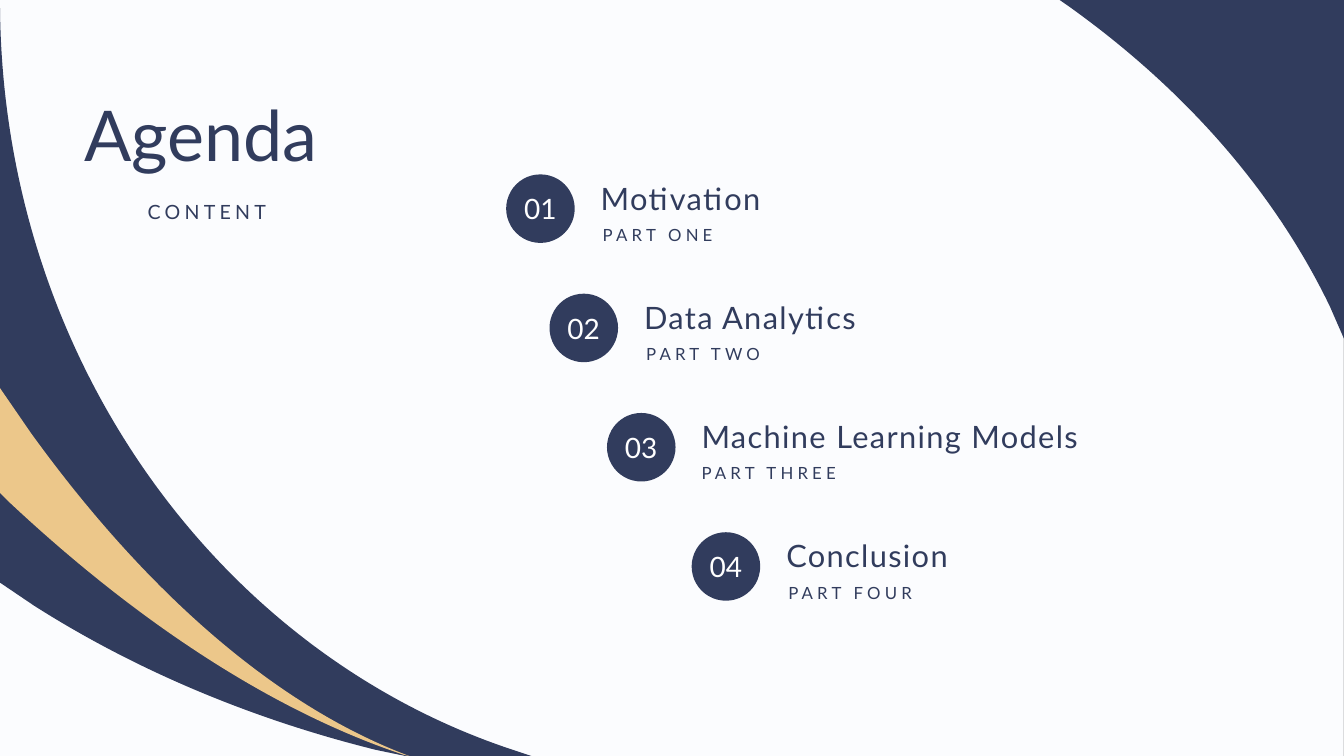
from lxml import etree
from pptx import Presentation
from pptx.dml.color import RGBColor
from pptx.enum.shapes import MSO_SHAPE
from pptx.enum.text import MSO_ANCHOR, PP_ALIGN
from pptx.oxml.ns import qn
from pptx.util import Inches, Pt

NAVY = RGBColor(0x31, 0x3C, 0x5D)
GOLD = RGBColor(0xEC, 0xC7, 0x8A)
BLACK = RGBColor(0x00, 0x00, 0x00)
WHITE = RGBColor(0xFF, 0xFF, 0xFF)
PALE_BLUE = RGBColor(0xDE, 0xEB, 0xF7)
LEFT, CENTER, RIGHT = PP_ALIGN.LEFT, PP_ALIGN.CENTER, PP_ALIGN.RIGHT
TOP, MIDDLE = MSO_ANCHOR.TOP, MSO_ANCHOR.MIDDLE
WIDTH, HEIGHT = 13.33, 7.5

deck = Presentation()
deck.slide_width, deck.slide_height = Inches(WIDTH), Inches(HEIGHT)
page = deck.slides.add_slide(deck.slide_layouts[6])


def draw_outline(color, start, *segments):
    """Closed outline of lines (x, y) and cubic curves (x1, y1, x2, y2, x, y), in inches."""
    points = [(Inches(segment[i]), Inches(segment[i + 1]))
              for segment in segments for i in range(0, len(segment), 2)]
    builder = page.shapes.build_freeform(Inches(start[0]), Inches(start[1]))
    builder.add_line_segments(points, close=True)
    outline = builder.convert_to_shape()
    lines = iter(list(outline._element.iter(qn("a:lnTo"))))
    for segment in segments:
        first = next(lines)
        if len(segment) == 6:
            curve = etree.Element(qn("a:cubicBezTo"))
            first.addprevious(curve)
            for line in (first, next(lines), next(lines)):
                curve.append(line[0])
                line.getparent().remove(line)
    outline.shadow.inherit = False
    outline.fill.solid()
    outline.fill.fore_color.rgb = color
    outline.line.fill.background()


def write(box, text, size, color=NAVY, align=LEFT, anchor=TOP, tracking=0, line_spacing=0.9):
    """Fill a box with one line of text; tracking is in points."""
    frame = box.text_frame
    frame.text = text
    frame.vertical_anchor = anchor
    frame.word_wrap = True
    para = frame.paragraphs[0]
    para.alignment = align
    para.line_spacing = line_spacing
    span = para.runs[0]
    span.font.name = "Lato"
    span.font.size = Pt(size)
    span.font.color.rgb = color
    if tracking:
        span._r.get_or_add_rPr().set("spc", str(tracking * 100))


# Background tint
tint = page.shapes.add_shape(MSO_SHAPE.RECTANGLE, 0, 0, deck.slide_width, deck.slide_height)
tint.shadow.inherit = False
tint.fill.solid()
tint.fill.fore_color.rgb = PALE_BLUE
tint.line.fill.background()
tint_color = tint._element.spPr.find(qn("a:solidFill"))[0]
etree.SubElement(tint_color, qn("a:alpha")).set("val", "10000")

# Hairline along the top and right edges, then the corner swooshes
draw_outline(BLACK, (3.02, 0), (WIDTH, 0), (WIDTH, HEIGHT), (WIDTH, 0))
draw_outline(NAVY, (10.51, 0), (WIDTH, 0), (WIDTH, 3.36), (13.19, 3.04),
             (12.63, 1.88, 11.74, 0.88, 10.61, 0.07))
draw_outline(NAVY, (4.02, HEIGHT), (5.27, HEIGHT), (5.12, 7.45), (2.16, 6.49, 0, 3.52, 0, 0),
             (0, 5.78), (0.34, 6.01), (1.33, 6.64, 2.48, 7.13, 3.73, 7.44))
draw_outline(GOLD, (0, 3.85), (0.31, 4.3), (1.46, 5.89, 2.75, 7.01, 4.06, HEIGHT), (4.01, 7.49),
             (2.72, 7.06, 1.38, 6.19, 0.08, 4.97), (0, 4.89))

# Heading
heading = page.shapes.add_textbox(Inches(0.6), Inches(0.95), Inches(2.65), Inches(0.86))
write(heading, "Agenda", 50, align=RIGHT)
subtitle = page.shapes.add_textbox(0, Inches(1.97), Inches(2.76), Inches(0.26))
write(subtitle, "CONTENT", 14, align=RIGHT, anchor=MIDDLE, tracking=3, line_spacing=1.0)
frame = subtitle.text_frame
frame.margin_left = frame.margin_top = frame.margin_bottom = 0
frame.margin_right = Inches(0.12)

# Agenda items: left edge, title, part label, indent of the part label
ITEMS = (
    (5.02, "Motivation", "PART ONE", 0.02),
    (5.45, "Data Analytics", "PART TWO", 0.02),
    (6.02, "Machine Learning Models", "PART THREE", 0),
    (6.86, "Conclusion", "PART FOUR", 0.02),
)
FIRST_TOP, LAST_TOP = 1.73, 5.28
ROW_STEP = (LAST_TOP - FIRST_TOP) / (len(ITEMS) - 1)
BADGE = Inches(0.68)
TITLE_OFFSET = 0.84

for row, (left, title, part, indent) in enumerate(ITEMS):
    top = FIRST_TOP + row * ROW_STEP
    badge = page.shapes.add_shape(MSO_SHAPE.OVAL, Inches(left), Inches(top), BADGE, BADGE)
    badge.shadow.inherit = False
    badge.fill.solid()
    badge.fill.fore_color.rgb = NAVY
    badge.line.fill.background()
    write(badge, f"{row + 1:02}", 20, WHITE, CENTER, MIDDLE, line_spacing=1.0)
    badge.text_frame.word_wrap = False

    text_left = left + TITLE_OFFSET
    title_box = page.shapes.add_textbox(Inches(text_left), Inches(top + 0.04),
                                        Inches(4.91), Inches(0.43))
    write(title_box, title, 22, anchor=MIDDLE, tracking=1)
    part_box = page.shapes.add_textbox(Inches(text_left + indent), Inches(top + 0.47),
                                       Inches(4.53), Inches(0.26))
    write(part_box, part, 12, tracking=3)

deck.save("out.pptx")
